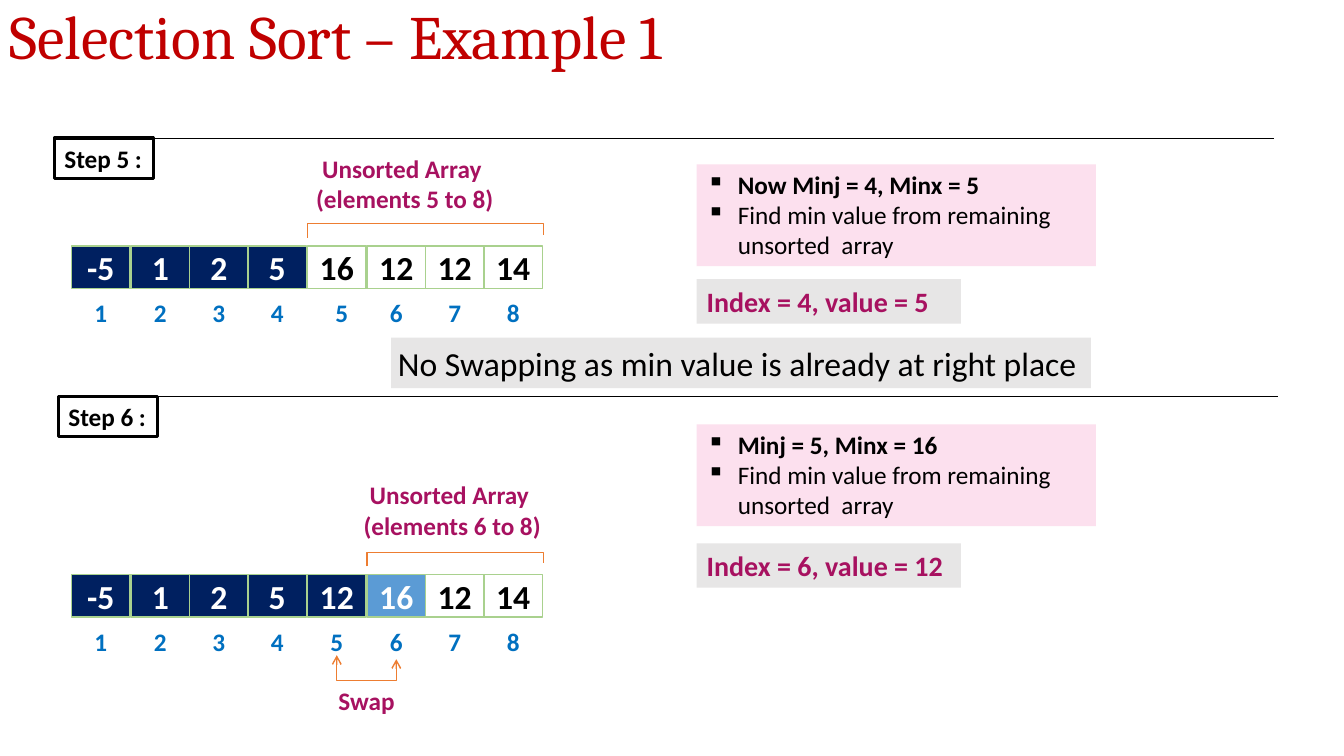
from dataclasses import dataclass
from lxml.etree import SubElement
from pptx import Presentation
from pptx.dml.color import RGBColor
from pptx.enum.shapes import MSO_CONNECTOR, MSO_SHAPE
from pptx.enum.text import MSO_ANCHOR, PP_ALIGN
from pptx.oxml.ns import qn
from pptx.util import Pt

PX = 9144


@dataclass(frozen=True)
class Theme:
    heading: str = "Cambria"
    body: str = "Calibri"
    title: str = "C00000"
    ink: str = "000000"
    paper: str = "FFFFFF"
    sorted_cell: str = "002060"
    swapped_cell: str = "5B9BD5"
    cell_line: str = "A9D18E"
    index: str = "0070C0"
    accent: str = "A71160"
    bracket: str = "ED7D31"
    pink: str = "FCE0EE"
    grey: str = "E7E6E6"
    title_size: int = 44
    value_size: int = 24
    result_size: int = 20
    text_size: int = 18


T = Theme()
prs = Presentation()
prs.slide_width, prs.slide_height = 1333 * PX, 750 * PX
s = prs.slides.add_slide(prs.slide_layouts[6])


def box(at, lines, size, color, fill=None, line=None, width=1, bold=True,
        align=PP_ALIGN.CENTER, anchor=MSO_ANCHOR.TOP, wrap=True, font=T.body):
    sp = s.shapes.add_shape(MSO_SHAPE.RECTANGLE, *(v * PX for v in at))
    sp.shadow.inherit = False
    if fill:
        sp.fill.solid()
        sp.fill.fore_color.rgb = RGBColor.from_string(fill)
    else:
        sp.fill.background()
    if line:
        sp.line.color.rgb = RGBColor.from_string(line)
        sp.line.width = Pt(width)
    else:
        sp.line.fill.background()
    tf = sp.text_frame
    tf.word_wrap = wrap
    tf.vertical_anchor = anchor
    for i, text in enumerate(lines):
        p = tf.paragraphs[0] if i == 0 else tf.add_paragraph()
        p.alignment = align
        r = p.add_run()
        r.text = text
        r.font.name, r.font.size, r.font.bold = font, Pt(size), bold
        r.font.color.rgb = RGBColor.from_string(color)
    return tf


def polyline(points):
    start, *rest = [(x * PX, y * PX) for x, y in points]
    builder = s.shapes.build_freeform(*start, scale=1.0)
    builder.add_line_segments(rest, close=False)
    sp = builder.convert_to_shape()
    sp.shadow.inherit = False
    sp.fill.background()
    sp.line.color.rgb = RGBColor.from_string(T.bracket)
    sp.line.width = Pt(1)
    return sp


title = box((0, 0, 1333, 78), ["Selection Sort – Example 1"], T.title_size, T.title,
            bold=False, align=PP_ALIGN.LEFT, anchor=MSO_ANCHOR.MIDDLE, font=T.heading)
title.paragraphs[0].line_spacing = 0.9

CELL_X, PITCH, CELL_W, CELL_H = 71, 58.5, 58, 42
steps = [
    dict(name="Step 5 :", x=54, y=137, row=244, values=[-5, 1, 2, 5, 16, 12, 12, 14],
         done=4, swapped=None, nudge={4: 5}, label=(303, 147), span="(elements 5 to 8)",
         note_y=163, note="Now Minj = 4, Minx = 5",
         result_y=277, result="Index = 4, value = 5"),
    dict(name="Step 6 :", x=58, y=393, row=570, values=[-5, 1, 2, 5, 12, 16, 12, 14],
         done=5, swapped=5, nudge={}, label=(350, 471), span="(elements 6 to 8)",
         note_y=421, note="Minj = 5, Minx = 16",
         result_y=539, result="Index = 6, value = 12"),
]

for step in steps:
    x, y, row = step["x"], step["y"], step["row"]
    rule = s.shapes.add_connector(MSO_CONNECTOR.STRAIGHT, x * PX, y * PX,
                                  (x + 1210) * PX, y * PX)
    rule.line.color.rgb = RGBColor.from_string(T.ink)
    rule.line.width = Pt(0.5)
    SubElement(rule._element.spPr, qn("a:effectLst"))
    box((x, y, 98, 40), [step["name"]], T.text_size, T.ink, line=T.ink, width=2.25,
        align=PP_ALIGN.LEFT, wrap=False)

    for i, value in enumerate(step["values"]):
        cell_x = round(CELL_X + i * PITCH)
        if i < step["done"]:
            fill, color = T.sorted_cell, T.paper
        elif i == step["swapped"]:
            fill, color = T.swapped_cell, T.paper
        else:
            fill, color = T.paper, T.ink
        box((cell_x, row, CELL_W, CELL_H), [str(value)], T.value_size, color,
            fill=fill, line=T.cell_line, anchor=MSO_ANCHOR.MIDDLE)
        box((cell_x + step["nudge"].get(i, 0), row + 45, CELL_W, CELL_H), [str(i + 1)],
            T.text_size, T.index, fill=T.paper, anchor=MSO_ANCHOR.MIDDLE)

    left, right = round(CELL_X + step["done"] * PITCH), round(CELL_X + 8 * PITCH)
    polyline([(left, row - 8), (left, row - 22), (right, row - 22), (right, row - 11)])
    box((*step["label"], 197, 71), ["Unsorted Array ", step["span"]],
        T.text_size, T.accent, wrap=False)

    tf = box((691, step["note_y"], 396, 101),
             [step["note"], "Find min value from remaining unsorted  array"],
             T.text_size, T.ink, fill=T.pink, align=PP_ALIGN.LEFT)
    tf.paragraphs[1].runs[0].font.bold = False
    for p in tf.paragraphs:
        pPr = p._p.get_or_add_pPr()
        pPr.set("marL", str(31 * PX))
        pPr.set("indent", str(-31 * PX))
        SubElement(pPr, qn("a:buChar"), char="▪")
    box((691, step["result_y"], 262, 44), [step["result"]], T.result_size, T.accent,
        fill=T.grey, align=PP_ALIGN.LEFT)

swap = polyline([(334, 650), (334, 675), (393, 675), (393, 654)])
ln = swap.line._get_or_add_ln()
for end in ("a:headEnd", "a:tailEnd"):
    SubElement(ln, qn(end), type="arrow")
box((314, 675, 99, 40), ["Swap"], T.text_size, T.accent)
box((388, 335, 694, 50), ["No Swapping as min value is already at right place "],
    T.value_size, T.ink, fill=T.grey, bold=False, wrap=False)

prs.save("out.pptx")
